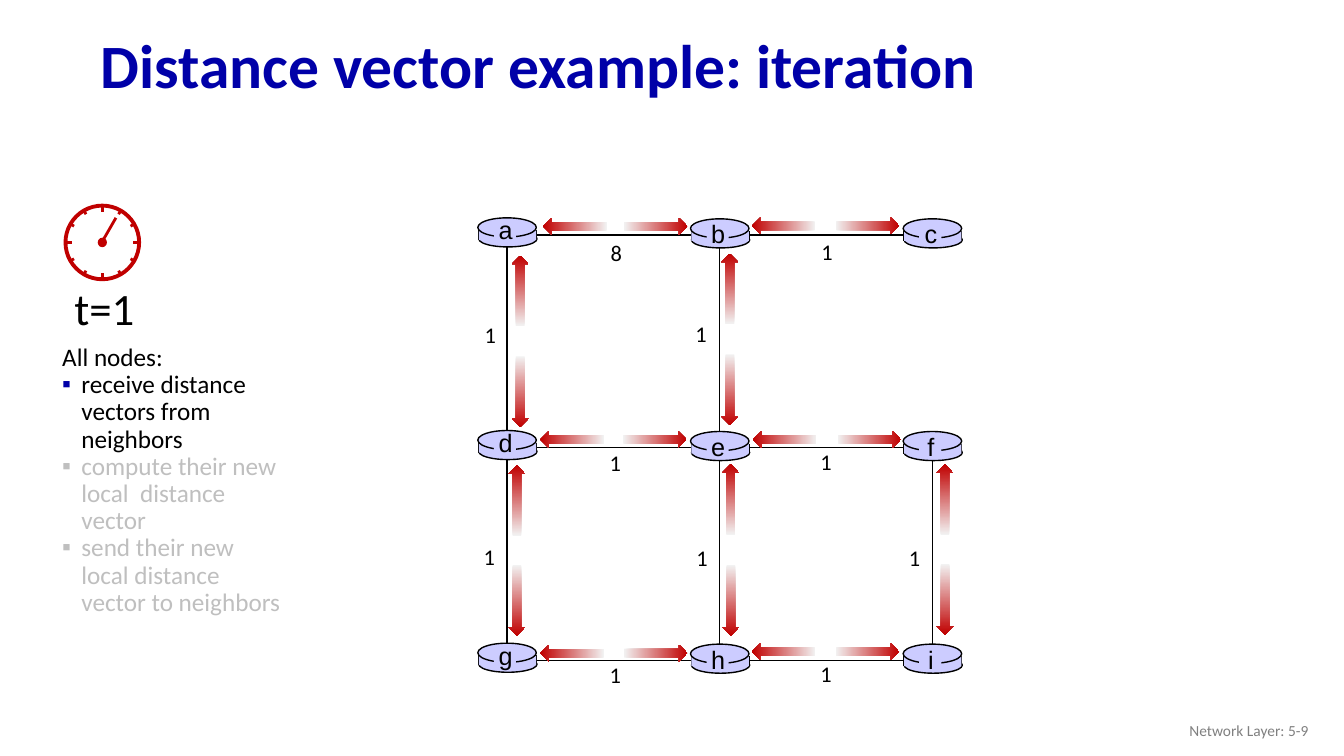
import math
from dataclasses import dataclass

from lxml import etree
from pptx import Presentation
from pptx.dml.color import RGBColor
from pptx.enum import shapes, text
from pptx.oxml import ns
from pptx.util import Pt

# Content
TITLE = "Distance vector example: iteration"
FOOTER = "Network Layer: 5-9"
TIME = "t=1"
STEPS_HEADING = "All nodes:"
STEPS = [  # wording, active now
    ("receive distance vectors from neighbors", True),
    ("compute their new local  distance vector", False),
    ("send their new local distance vector to neighbors", False),
]
NODES = "abcdefghi"  # row by row in a 3 by 3 grid
LINKS = [
    # ends, cost, cost offset from first node, arrow starts along link, arrow offset across link
    ("ab", "8", (67, -0.7), (25.9, 83.5), -6.1),
    ("bc", "1", (65.5, -1.4), (23, 82.8), -6.5),
    ("de", "1", (66.2, -2.2), (23.8, 82.8), -5.8),
    ("ef", "1", (64.8, -2.9), (23.8, 84.2), -5.8),
    ("gh", "1", (66.2, -2.9), (23.8, 83.5), -5),
    ("hi", "1", (64.8, -3.6), (23, 82.8), -6.1),
    ("ad", "1", (-23, 58.3), (14.8, 86.8), 9.4),
    ("be", "1", (-24.5, 57.6), (13.3, 85.3), 7.2),
    ("dg", "1", (-23.8, 64.8), (12.6, 83.9), 7),
    ("eh", "1", (-23.8, 65.5), (11.9, 83.9), 7.9),
    ("fi", "1", (-23.8, 65.5), (11.9, 83.2), 9),
]


@dataclass(frozen=True)
class Theme:
    blue: str = "0000A8"
    black: str = "000000"
    red: str = "C00000"
    pale: str = "F2F2F2"
    router: str = "CCCCFF"
    muted: str = "BFBFBF"
    footer: str = "808080"
    body_font: str = "Calibri"
    node_font: str = "Arial"
    title_size: int = 44
    time_size: int = 32
    body_size: int = 18
    cost_size: int = 16
    footer_size: int = 11


theme = Theme()
GRID_LEFT, GRID_TOP, GRID_STEP = 362.2, 167.8, 151.9
ARROW_THICKNESS = 12.2
CLOCK_X, CLOCK_Y, CLOCK_RADIUS = 73.1, 173.2, 26.3

presentation = Presentation()
presentation.slide_width, presentation.slide_height = Pt(960), Pt(540)
slide = presentation.slides.add_slide(presentation.slide_layouts[5])


def rgb(color):
    return RGBColor.from_string(color)


def write(frame, content, *, size, color=theme.black, font=theme.body_font, bold=False,
          align=text.PP_ALIGN.LEFT, spacing=None, bullet=None, first=True):
    """Write one formatted paragraph; bullet is the bullet's colour."""
    paragraph = frame.paragraphs[0] if first else frame.add_paragraph()
    paragraph.alignment = align
    if spacing:
        paragraph.line_spacing = spacing
    run = paragraph.add_run()
    run.text = content
    run.font.size, run.font.name, run.font.bold = Pt(size), font, bold
    run.font.color.rgb = rgb(color)
    if bullet:
        properties = paragraph._p.get_or_add_pPr()
        properties.set("marL", str(Pt(13.7)))
        properties.set("indent", str(-Pt(13.7)))
        bullet_color = etree.SubElement(properties, ns.qn("a:buClr"))
        etree.SubElement(bullet_color, ns.qn("a:srgbClr"), val=bullet)
        etree.SubElement(properties, ns.qn("a:buFont"), typeface=theme.node_font)
        etree.SubElement(properties, ns.qn("a:buChar"), char="▪")


def add_frame(left, top, width, height, wrap=False, anchor=text.MSO_ANCHOR.TOP):
    frame = slide.shapes.add_textbox(Pt(left), Pt(top), Pt(width), Pt(height)).text_frame
    frame.word_wrap, frame.vertical_anchor = wrap, anchor
    return frame


def add_line(x1, y1, x2, y2, color=theme.black, width=1):
    line = slide.shapes.add_connector(
        shapes.MSO_CONNECTOR.STRAIGHT, Pt(x1), Pt(y1), Pt(x2), Pt(y2))
    line.line.color.rgb, line.line.width = rgb(color), Pt(width)
    etree.SubElement(line._element.spPr, ns.qn("a:effectLst"))


def add_shape(kind, left, top, width, height, fill=None, line=None, line_width=1):
    shape = slide.shapes.add_shape(kind, Pt(left), Pt(top), Pt(width), Pt(height))
    shape.shadow.inherit = False
    if fill:
        shape.fill.solid()
        shape.fill.fore_color.rgb = rgb(fill)
    else:
        shape.fill.background()
    if line:
        shape.line.color.rgb, shape.line.width = rgb(line), Pt(line_width)
    else:
        shape.line.fill.background()
    return shape


def add_arrow(center_x, center_y, length, rotation):
    arrow = add_shape(shapes.MSO_SHAPE.RIGHT_ARROW, center_x - length / 2,
                      center_y - ARROW_THICKNESS / 2, length, ARROW_THICKNESS)
    arrow.fill.gradient()
    arrow.fill.gradient_angle = 0
    for stop, color, position in zip(arrow.fill.gradient_stops, (theme.pale, theme.red), (0, 1)):
        stop.color.rgb, stop.position = rgb(color), position
    arrow.rotation = rotation


def node_center(name):
    row, column = divmod(NODES.index(name), 3)
    return GRID_LEFT + column * GRID_STEP, GRID_TOP + row * GRID_STEP


def add_router(name):
    x, y = node_center(name)
    in_left_column = NODES.index(name) % 3 == 0
    y -= 0.7 if in_left_column else 0
    oval, box = shapes.MSO_SHAPE.OVAL, shapes.MSO_SHAPE.RECTANGLE
    add_shape(oval, x - 20.2, y - 2.2, 41.6, 11.5, theme.router, theme.black)
    for side in (-20.2, 21):
        add_line(x + side, y - 2.9, x + side, y + 4.3)
    add_shape(box, x - 20.2, y - 2.9, 41, 7.2, theme.router)
    add_shape(oval, x - 20.9, y - 11.5, 41.8, 13.7, theme.router, theme.black)
    add_shape(box, x - 9.4, y - 7.9, 15.8, 14.4, theme.router)
    letter_top = y - (17.3 if in_left_column else 15.1)
    write(add_frame(x - 13.3, letter_top, 24.5, 28.8), name, size=theme.body_size,
          font=theme.node_font, align=text.PP_ALIGN.CENTER)


# Title and footer
title = slide.shapes.title
title.left, title.top, title.width, title.height = Pt(64.8), Pt(13.7), Pt(828), Pt(70.6)
title.text_frame.vertical_anchor = text.MSO_ANCHOR.MIDDLE
write(title.text_frame, TITLE, size=theme.title_size, color=theme.blue, bold=True, spacing=0.9)
write(add_frame(725.8, 507.6, 216, 28.8, True, text.MSO_ANCHOR.MIDDLE), FOOTER,
      size=theme.footer_size, color=theme.footer, align=text.PP_ALIGN.RIGHT)

# Clock
add_shape(shapes.MSO_SHAPE.OVAL, CLOCK_X - CLOCK_RADIUS, CLOCK_Y - CLOCK_RADIUS,
          2 * CLOCK_RADIUS, 2 * CLOCK_RADIUS, line=theme.red, line_width=2.75)
for hour in range(12):
    across, down = math.sin(math.radians(30 * hour)), -math.cos(math.radians(30 * hour))
    inner, outer = (22 if hour % 3 == 0 else 23.3), 27
    add_line(CLOCK_X + inner * across, CLOCK_Y + inner * down,
             CLOCK_X + outer * across, CLOCK_Y + outer * down, theme.red, 2)
add_shape(shapes.MSO_SHAPE.OVAL, CLOCK_X - 3.3, CLOCK_Y - 3.4, 6.6, 6.8, theme.red)
add_line(CLOCK_X - 1, CLOCK_Y + 1, CLOCK_X + 9.7, CLOCK_Y - 17.6, theme.red, 2)
write(add_frame(46.1, 197.3, 58.3, 46.1), TIME, size=theme.time_size)

# Steps
steps_frame = add_frame(37.4, 242.6, 172.8, 203.8, wrap=True)
write(steps_frame, STEPS_HEADING, size=theme.body_size, spacing=0.9)
for step, active in STEPS:
    write(steps_frame, step, size=theme.body_size, spacing=0.9, first=False,
          color=theme.black if active else theme.muted,
          bullet=theme.blue if active else theme.muted)

# Links below the routers
for ends, *_ in LINKS:
    add_line(*node_center(ends[0]), *node_center(ends[1]))
for node in NODES:
    add_router(node)

# Link costs and message arrows
for ends, cost, (cost_x, cost_y), starts, offset in LINKS:
    (x, y), (end_x, _) = node_center(ends[0]), node_center(ends[1])
    write(add_frame(x + cost_x, y + cost_y, 23.4, 26.6), cost, size=theme.cost_size)
    horizontal = end_x > x
    length, rotations = (45.4, (180, 0)) if horizontal else (50.4, (270, 90))
    for start, rotation in zip(starts, rotations):
        middle = start + length / 2
        along, across = (middle, offset) if horizontal else (offset, middle)
        add_arrow(x + along, y + across, length, rotation)

presentation.save("out.pptx")
